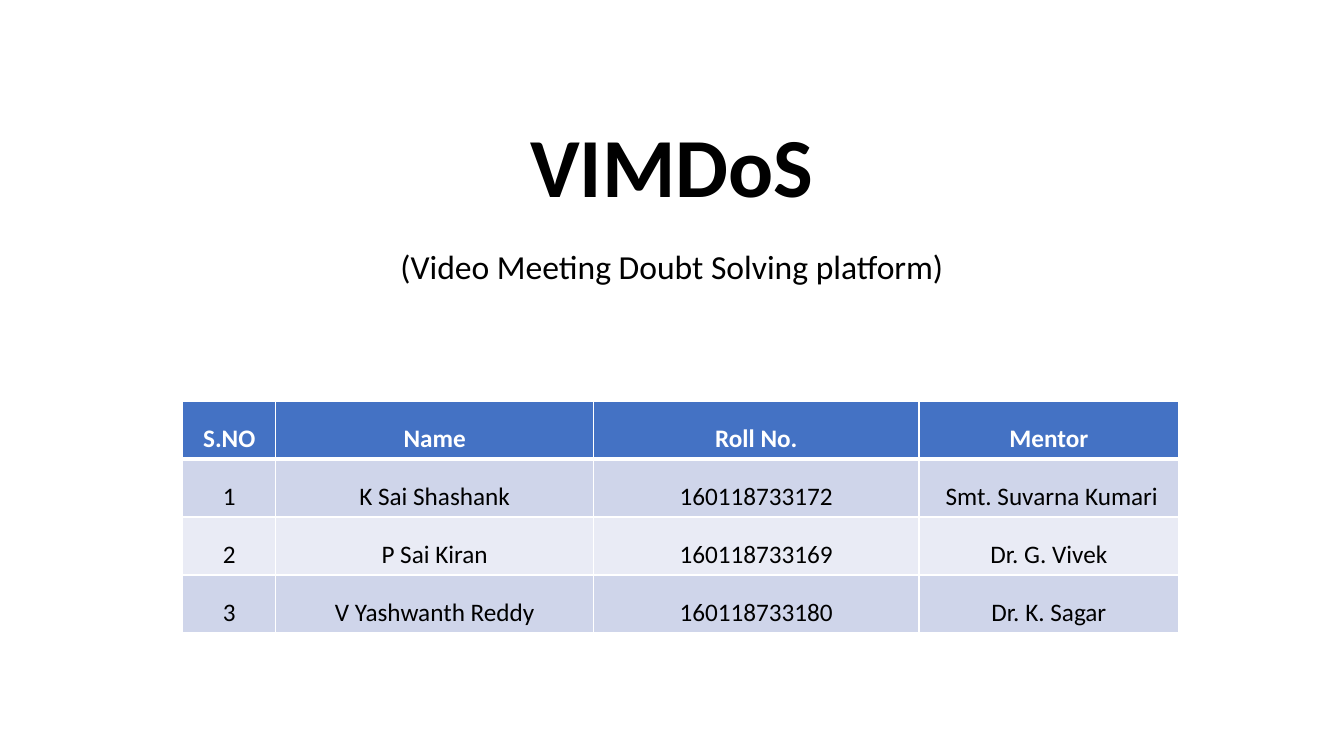
from lxml.etree import SubElement
from pptx import Presentation
from pptx.dml.color import RGBColor
from pptx.enum.text import MSO_ANCHOR as ANCHOR, PP_ALIGN as ALIGN
from pptx.oxml.ns import qn
from pptx.util import Pt


def write(tf, text, anchor, para=None, **font):
    """Write one centred Calibri paragraph into a text frame or cell."""
    p = tf.paragraphs[0]
    p.alignment = ALIGN.CENTER
    for name, value in (para or {}).items():
        setattr(p, name, value)
    r = p.add_run()
    r.text = text
    color = font.pop("color", "000000")
    for name, value in {"name": "Calibri", **font}.items():
        setattr(r.font, name, value)
    r.font.color.rgb = RGBColor.from_string(color)
    tf.vertical_anchor = anchor


def add_border(cell, side, width):
    """Draw a white border on one side of a table cell."""
    ln = SubElement(cell._tc.get_or_add_tcPr(), qn(f"a:ln{side}"), w=str(Pt(width)))
    SubElement(SubElement(ln, qn("a:solidFill")), qn("a:srgbClr"), val="FFFFFF")


prs = Presentation()
prs.slide_width, prs.slide_height = Pt(960), Pt(540)
s = prs.slides.add_slide(prs.slide_layouts[6])

# Title and subtitle
headings = [
    ("VIMDoS", 0, 157.5, ANCHOR.BOTTOM, {"line_spacing": 0.9},
     {"size": Pt(60), "bold": True}),
    ("(Video Meeting Doubt Solving platform)", 175, 62.5, ANCHOR.TOP,
     {"line_spacing": 0.9, "space_before": Pt(10)}, {"size": Pt(24)}),
]
for text, top, height, anchor, para, font in headings:
    tf = s.shapes.add_textbox(Pt(120), Pt(top), Pt(720), Pt(height)).text_frame
    tf.word_wrap = True
    write(tf, text, anchor, para, **font)

# Team table
team = [
    ["S.NO", "Name", "Roll No.", "Mentor"],
    ["1", "K Sai Shashank", "160118733172", " Smt. Suvarna Kumari"],
    ["2", "P Sai Kiran", "160118733169", "Dr. G. Vivek"],
    ["3", "V Yashwanth Reddy", "160118733180", "Dr. K. Sagar"],
]
col_widths = [66.5, 227, 232.5, 185.5]
row_height = 41.4
margins = {"margin_left": Pt(0.75), "margin_right": Pt(0.75),
           "margin_top": Pt(0.75), "margin_bottom": Pt(3.6)}

table = s.shapes.add_table(len(team), len(col_widths), Pt(130.5), Pt(286.5),
                           Pt(sum(col_widths)), Pt(row_height * len(team))).table
for column, width in zip(table.columns, col_widths):
    column.width = Pt(width)
for i, names in enumerate(team):
    table.rows[i].height = Pt(row_height)
    header = i == 0
    fill = "4472C4" if header else ("E9EBF5", "CFD5EA")[i % 2]
    for j, text in enumerate(names):
        cell = table.cell(i, j)
        for name, value in margins.items():
            setattr(cell, name, value)
        write(cell.text_frame, text, None, size=Pt(18), bold=header,
              color="FFFFFF" if header else "000000")
        cell.vertical_anchor = ANCHOR.BOTTOM
        for side in "LRTB":
            thick = (side, i) in (("B", 0), ("T", 1))
            add_border(cell, side, 3 if thick else 1)
        cell.fill.solid()
        cell.fill.fore_color.rgb = RGBColor.from_string(fill)

prs.save("out.pptx")
